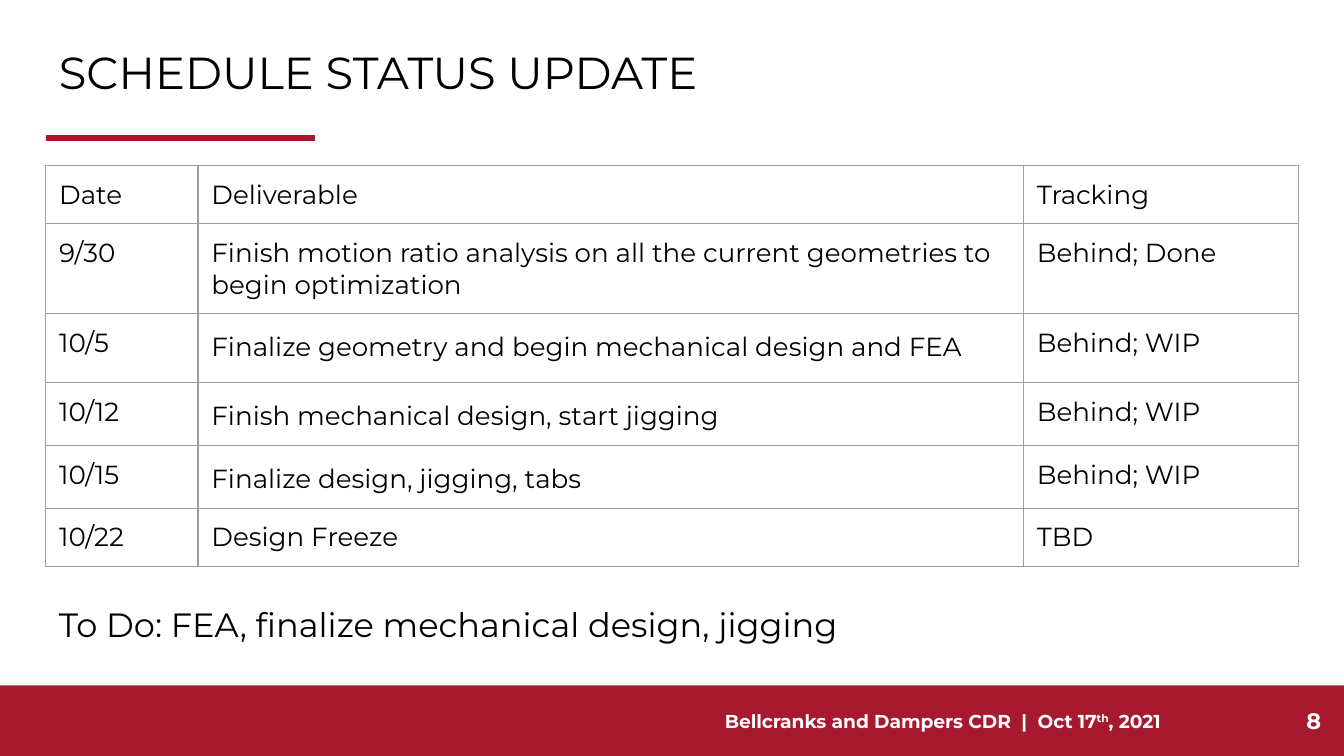
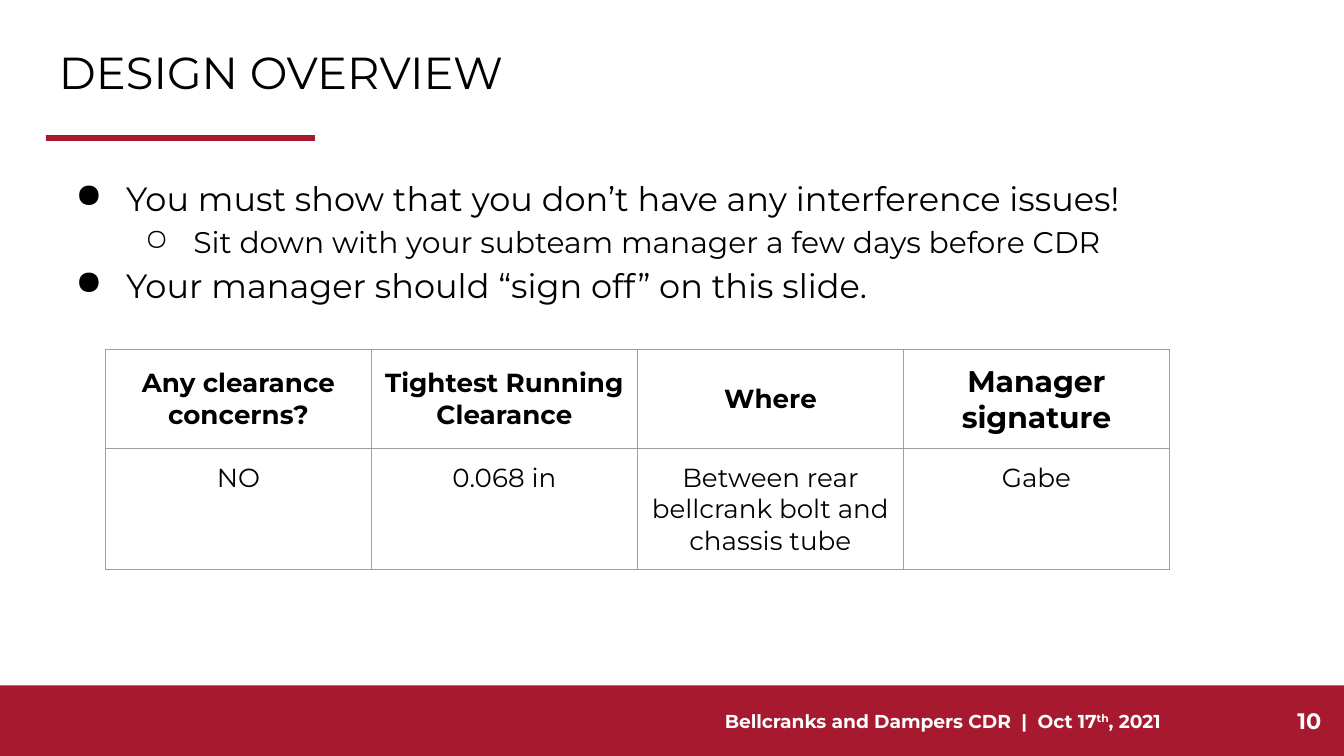
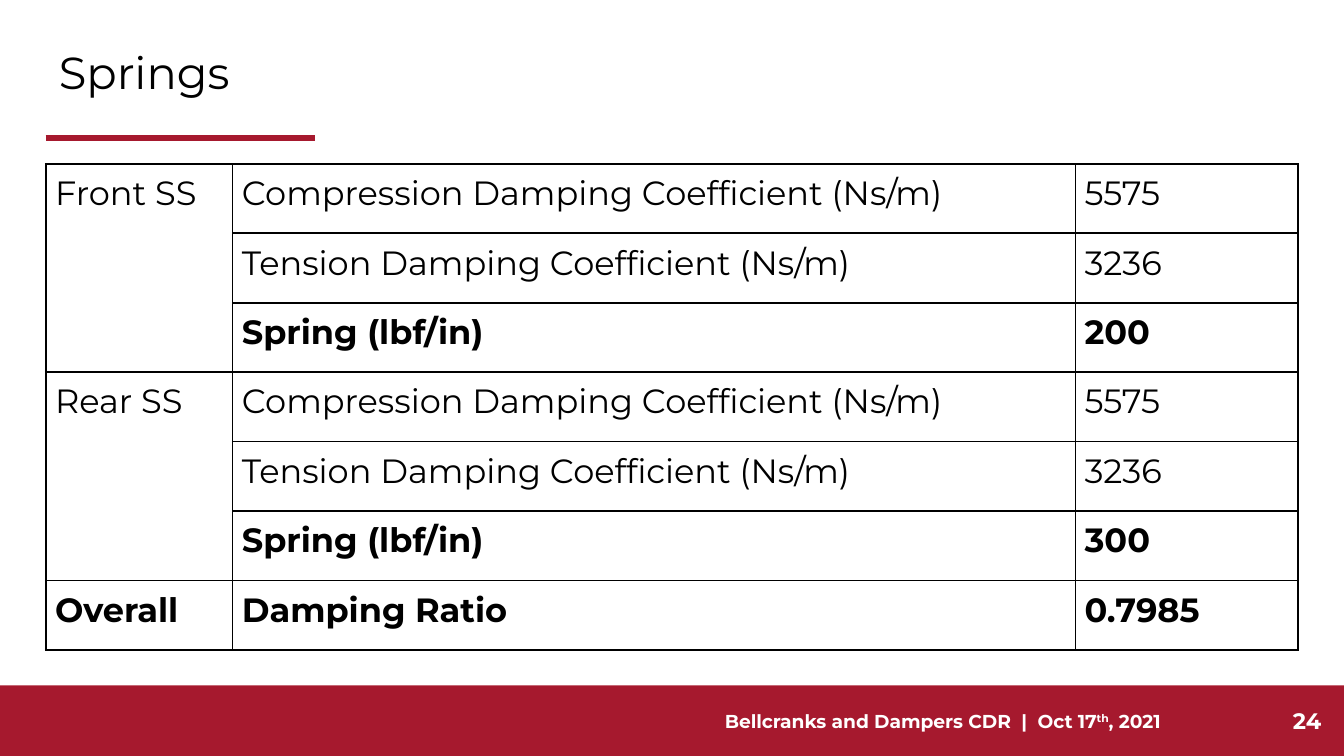
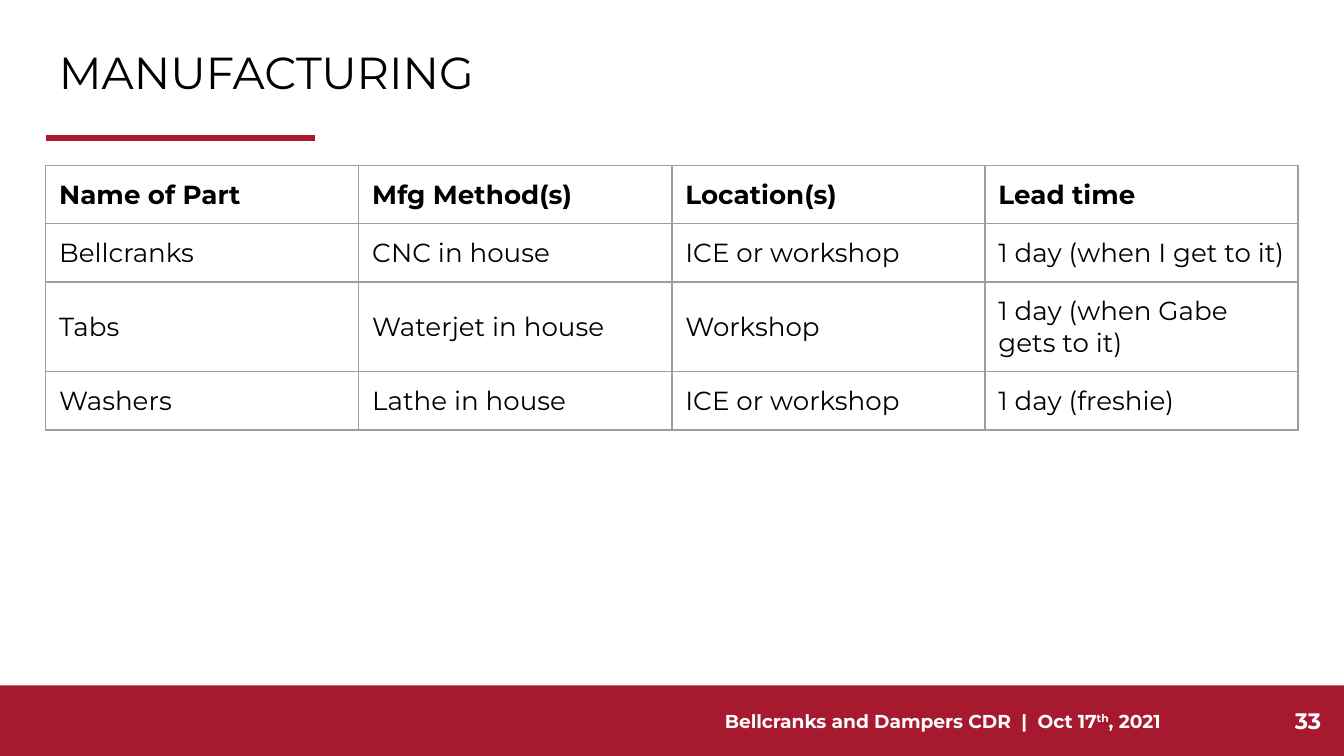
from lxml.etree import SubElement
from pptx import Presentation
from pptx.dml.color import RGBColor
from pptx.enum.shapes import MSO_CONNECTOR, MSO_SHAPE
from pptx.enum.text import MSO_ANCHOR, PP_ALIGN
from pptx.oxml import parse_xml
from pptx.oxml.ns import nsdecls, qn
from pptx.util import Pt

RED = RGBColor(0xA6, 0x19, 0x2E)
WHITE = RGBColor(0xFF, 0xFF, 0xFF)
BLACK = RGBColor(0, 0, 0)
GREY = RGBColor(0x9E, 0x9E, 0x9E)
FONT = "Montserrat"

PAGE_WIDTH, PAGE_HEIGHT = 720, 405
MARGIN = 24.5
CONTENT_WIDTH = PAGE_WIDTH - 2 * MARGIN
BAND_TOP = 367.2
BAND_HEIGHT = PAGE_HEIGHT - BAND_TOP
TABLE_TOP = 88.6
INSET = 7.2


def set_insets(target, inset):
    target.margin_left = target.margin_right = Pt(inset)
    target.margin_top = target.margin_bottom = Pt(inset)


def style_para(para, size, color=BLACK, bold=False, align=PP_ALIGN.LEFT):
    para.alignment = align
    for span in para.runs:
        span.font.name = FONT
        span.font.size = Pt(size)
        span.font.color.rgb = color
        span.font.bold = bold


def loosen(para, spacing=1.14, before=5):
    para.line_spacing = spacing
    para.space_before = Pt(before)


def add_text(page, box, text, size, color=BLACK, bold=False,
             align=PP_ALIGN.LEFT, anchor=MSO_ANCHOR.TOP):
    """Add a wrapped text box at box (left, top, width, height); return its frame."""
    frame = page.shapes.add_textbox(*map(Pt, box)).text_frame
    frame.word_wrap = True
    frame.vertical_anchor = anchor
    set_insets(frame, INSET)
    frame.text = text
    for para in frame.paragraphs:
        style_para(para, size, color, bold, align)
    return frame


def add_footer(page, box, number):
    left, top, width, height = box
    band = page.shapes.add_shape(MSO_SHAPE.RECTANGLE, *map(Pt, box))
    band.shadow.inherit = False
    band.fill.solid()
    band.fill.fore_color.rgb = RED
    band.line.fill.background()

    frame = add_text(page, (left + 314.6, top, 380.9, height),
                     "Bellcranks and Dampers CDR  |  Oct 17", 10, WHITE, True,
                     PP_ALIGN.CENTER, MSO_ANCHOR.MIDDLE)
    para = frame.paragraphs[0]
    ordinal = para.add_run()
    ordinal.text = "th"
    para.add_run().text = ", 2021"
    style_para(para, 10, WHITE, True, PP_ALIGN.CENTER)
    ordinal.font._element.set("baseline", "30000")

    add_text(page, (left + width - 52.6, top, 47.5, height), str(number), 12,
             WHITE, True, PP_ALIGN.RIGHT, MSO_ANCHOR.MIDDLE)


def add_heading(page, box, title):
    left, top, width, height = box
    add_text(page, box, title, 24, anchor=MSO_ANCHOR.MIDDLE)
    rule_top = top + height + 12.8
    rule = page.shapes.add_connector(MSO_CONNECTOR.STRAIGHT, Pt(left), Pt(rule_top),
                                     Pt(left + 144), Pt(rule_top))
    rule.line.color.rgb = RED
    rule.line.width = Pt(3)
    SubElement(rule._element.spPr, qn("a:effectLst"))


def add_page(deck, title, number):
    page = deck.slides.add_slide(deck.slide_layouts[6])
    add_footer(page, (0, BAND_TOP, PAGE_WIDTH, BAND_HEIGHT), number)
    add_heading(page, (MARGIN, 15.8, CONTENT_WIDTH, 45.4), title)
    return page


def set_borders(cell, color, width):
    properties = cell._tc.get_or_add_tcPr()
    for index, side in enumerate(("lnL", "lnR", "lnT", "lnB")):
        properties.insert(index, parse_xml(
            f'<a:{side} {nsdecls("a")} w="{Pt(width)}"><a:solidFill>'
            f'<a:srgbClr val="{color}"/></a:solidFill></a:{side}>'))


def add_grid(page, left, top, widths, heights, rows, size=14, inset=INSET,
             border=(GREY, 0.75), bold_rows=(), align=PP_ALIGN.LEFT,
             anchor=MSO_ANCHOR.TOP):
    table = page.shapes.add_table(len(rows), len(widths), Pt(left), Pt(top),
                                  Pt(sum(widths)), Pt(sum(heights))).table
    table.first_row = table.horz_banding = False
    for column, width in zip(table.columns, widths):
        column.width = Pt(width)
    for row, height in zip(table.rows, heights):
        row.height = Pt(height)
    for r, texts in enumerate(rows):
        for c, text in enumerate(texts):
            cell = table.cell(r, c)
            cell.fill.background()
            set_borders(cell, *border)
            set_insets(cell, inset)
            cell.vertical_anchor = anchor
            cell.text = text
            style_para(cell.text_frame.paragraphs[0], size, bold=r in bold_rows,
                       align=align)
    return table


def add_bullet(para, symbol, left, hanging):
    properties = para._p.get_or_add_pPr()
    properties.set("marL", str(Pt(left)))
    properties.set("indent", str(Pt(-hanging)))
    color = SubElement(properties, qn("a:buClr"))
    SubElement(color, qn("a:srgbClr"), val=str(BLACK))
    SubElement(properties, qn("a:buChar"), char=symbol)


def build_schedule(deck):
    page = add_page(deck, "SCHEDULE STATUS UPDATE", 8)
    rows = [
        ("Date", "Deliverable", "Tracking"),
        ("9/30", "Finish motion ratio analysis on all the current geometries to "
                 "begin optimization", "Behind; Done"),
        ("10/5", "Finalize geometry and begin mechanical design and FEA", "Behind; WIP"),
        ("10/12", "Finish mechanical design, start jigging", "Behind; WIP"),
        ("10/15", "Finalize design, jigging, tabs", "Behind; WIP"),
        ("10/22", "Design Freeze", "TBD"),
    ]
    table = add_grid(page, MARGIN, TABLE_TOP, (81.6, 442.2, 147.2),
                     (23, 35.3, 37.2, 23, 23, 23), rows)
    for r in (2, 3, 4):
        loosen(table.cell(r, 1).text_frame.paragraphs[0])
    to_do = add_text(page, (MARGIN, 313.2, CONTENT_WIDTH, 38.2),
                     "To Do: FEA, finalize mechanical design, jigging", 18)
    loosen(to_do.paragraphs[0])


def build_overview(deck):
    page = add_page(deck, "DESIGN OVERVIEW", 10)
    frame = add_text(page, (MARGIN, 85, CONTENT_WIDTH, 266.4),
                     "You must show that you don’t have any interference issues!\n"
                     "Sit down with your subteam manager a few days before CDR\n"
                     "Your manager should “sign off” on this slide.", 18)
    first, detail, last = frame.paragraphs
    loosen(first)
    loosen(detail, 1.15, 0)
    loosen(last, before=0)
    detail.level = 1
    style_para(detail, 16)
    for para in (first, last):
        add_bullet(para, "●", 36, 27)
    add_bullet(detail, "○", 72, 26)

    rows = [
        ("Any clearance concerns?", "Tightest Running Clearance", "Where",
         "Manager signature"),
        ("NO", "0.068 in", "Between rear bellcrank bolt and chassis tube", "Gabe"),
    ]
    table = add_grid(page, 56.5, 187.4, [142.5] * 4, (24.5, 15.1), rows,
                     bold_rows=(0,), align=PP_ALIGN.CENTER)
    for c in range(4):
        table.cell(0, c).vertical_anchor = MSO_ANCHOR.MIDDLE
    style_para(table.cell(0, 3).text_frame.paragraphs[0], 16, bold=True,
               align=PP_ALIGN.CENTER)


def build_springs(deck):
    page = add_page(deck, "Springs", 24)
    rows = []
    for axle, stiffness in (("Front SS", "200"), ("Rear SS", "300")):
        rows += [
            (axle, "Compression Damping Coefficient (Ns/m)", "5575"),
            ("", "Tension Damping Coefficient (Ns/m)", "3236"),
            ("", "Spring (lbf/in)", stiffness),
        ]
    rows.append(("Overall", "Damping Ratio", "0.7985"))
    table = add_grid(page, MARGIN, 87.8, (100.1, 451.5, 119.4), [37.2] * 7, rows,
                     size=18, inset=5, border=(BLACK, 1), bold_rows=(2, 5, 6))
    for r in (0, 3):
        table.cell(r, 0).merge(table.cell(r + 2, 0))


def build_manufacturing(deck):
    page = add_page(deck, "MANUFACTURING", 33)
    rows = [
        ("Name of Part", "Mfg Method(s)", "Location(s)", "Lead time"),
        ("Bellcranks", "CNC in house", "ICE or workshop", "1 day (when I get to it)"),
        ("Tabs", "Waterjet in house", "Workshop", "1 day (when Gabe gets to it)"),
        ("Washers", "Lathe in house", "ICE or workshop", "1 day (freshie)"),
    ]
    add_grid(page, MARGIN, TABLE_TOP, [CONTENT_WIDTH / 4] * 4, (30.2, 31, 31, 31),
             rows, bold_rows=(0,), anchor=MSO_ANCHOR.MIDDLE)


def main():
    deck = Presentation()
    deck.slide_width, deck.slide_height = Pt(PAGE_WIDTH), Pt(PAGE_HEIGHT)
    for build in (build_schedule, build_overview, build_springs, build_manufacturing):
        build(deck)
    deck.save("out.pptx")


if __name__ == "__main__":
    main()
